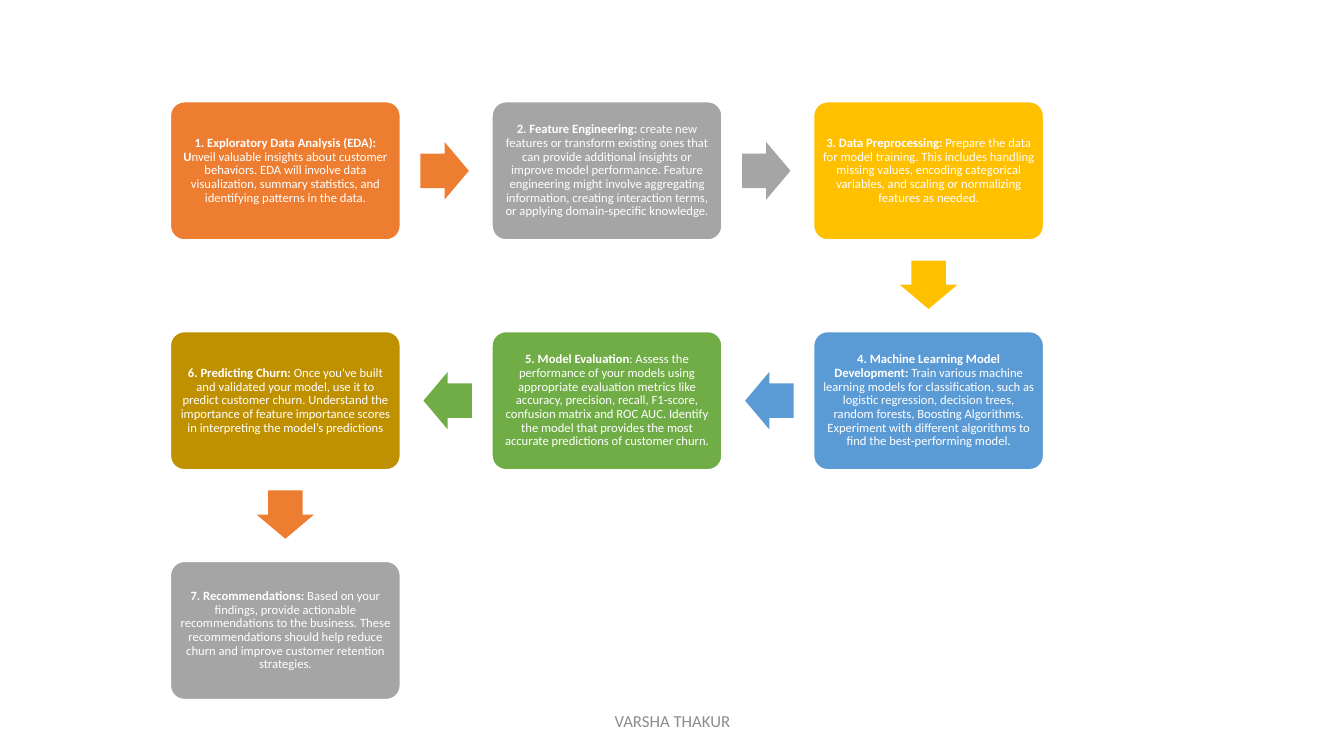
from pptx import Presentation
from pptx.dml.color import RGBColor
from pptx.enum.shapes import MSO_SHAPE as Shape
from pptx.enum.text import MSO_ANCHOR as Anchor, PP_ALIGN as Align
from pptx.util import Inches, Pt

COLORS = {
    "orange": "ED7D31", "gray": "A5A5A5", "yellow": "FFC000", "blue": "5B9BD5",
    "green": "70AD47", "gold": "BF9000", "white": "FFFFFF", "footer": "8C8C8C",
}
BOX_WIDTH, BOX_HEIGHT = 2.28, 1.37
ARROW_WIDTH, ARROW_HEIGHT = 0.48, 0.57
LEFT, TOP = 1.69, 1.01
COLUMN_STEP, ROW_STEP = 3.19, 2.28
ARROW_OFFSET_X, ARROW_OFFSET_Y = 1.58, 1.13
ROTATIONS = {(1, 0): 0, (0, 1): 90, (-1, 0): 180}

STEPS = [
    (0, 0, "orange", "orange", "1. Exploratory Data Analysis (EDA): U",
     "nveil valuable insights about customer behaviors. EDA will involve data "
     "visualization, summary statistics, and identifying patterns in the data."),
    (1, 0, "gray", "gray", "2. Feature Engineering: ",
     "create new features or transform existing ones that can provide additional "
     "insights or improve model performance. Feature engineering might involve "
     "aggregating information, creating interaction terms, or applying "
     "domain-specific knowledge."),
    (2, 0, "yellow", "yellow", "3. Data Preprocessing: ",
     "Prepare the data for model training. This includes handling missing values, "
     "encoding categorical variables, and scaling or normalizing features as needed."),
    (2, 1, "blue", "blue", "4. Machine Learning Model Development: ",
     "Train various machine learning models for classification, such as logistic "
     "regression, decision trees, random forests, Boosting Algorithms. Experiment "
     "with different algorithms to find the best-performing model."),
    (1, 1, "green", "green", "5. Model Evaluation",
     ": Assess the performance of your models using appropriate evaluation metrics "
     "like accuracy, precision, recall, F1-score, confusion matrix and ROC AUC. "
     "Identify the model that provides the most accurate predictions of customer churn."),
    (0, 1, "gold", "orange", "6. Predicting Churn: ",
     "Once you've built and validated your model, use it to predict customer churn. "
     "Understand the importance of feature importance scores in interpreting the "
     "model’s predictions"),
    (0, 2, "gray", None, "7. Recommendations: ",
     "Based on your findings, provide actionable recommendations to the business. "
     "These recommendations should help reduce churn and improve customer retention "
     "strategies."),
]


class FlowSlide:
    font_name = "Calibri"

    def __init__(self, slide):
        self.slide = slide

    def color(self, name):
        return RGBColor.from_string(COLORS[name])

    def style_paragraph(self, paragraph, size, color):
        paragraph.alignment = Align.CENTER
        paragraph.font.name = self.font_name
        paragraph.font.size = Pt(size)
        paragraph.font.color.rgb = self.color(color)

    def add_filled_shape(self, kind, center_x, center_y, width, height, color):
        shape = self.slide.shapes.add_shape(
            kind, Inches(center_x - width / 2), Inches(center_y - height / 2),
            Inches(width), Inches(height))
        shape.shadow.inherit = False
        shape.fill.solid()
        shape.fill.fore_color.rgb = self.color(color)
        return shape

    def add_step(self, center_x, center_y, color, heading, description):
        box = self.add_filled_shape(
            Shape.ROUNDED_RECTANGLE, center_x, center_y, BOX_WIDTH, BOX_HEIGHT, color)
        box.adjustments[0] = 0.1
        box.line.color.rgb = self.color("white")
        box.line.width = Pt(1)
        frame = box.text_frame
        frame.word_wrap = True
        frame.vertical_anchor = Anchor.MIDDLE
        frame.margin_left = frame.margin_right = Inches(0.04)
        frame.margin_top = frame.margin_bottom = Inches(0.04)
        paragraph = frame.paragraphs[0]
        self.style_paragraph(paragraph, 9, "white")
        paragraph.line_spacing = 0.9
        paragraph.space_after = Pt(3.15)
        for text, bold in ((heading, True), (description, False)):
            run = paragraph.add_run()
            run.text = text
            run.font.bold = bold

    def add_arrow(self, center_x, center_y, rotation, color):
        arrow = self.add_filled_shape(
            Shape.RIGHT_ARROW, center_x, center_y, ARROW_WIDTH, ARROW_HEIGHT, color)
        arrow.adjustments[0] = 0.6
        arrow.adjustments[1] = 0.5
        arrow.rotation = rotation
        arrow.line.fill.background()

    def add_footer(self, text):
        footer = self.slide.shapes.add_textbox(
            Inches(4.42), Inches(6.95), Inches(4.5), Inches(0.4))
        frame = footer.text_frame
        frame.word_wrap = True
        frame.vertical_anchor = Anchor.MIDDLE
        frame.text = text
        self.style_paragraph(frame.paragraphs[0], 12, "footer")


presentation = Presentation()
presentation.slide_width = Inches(13.33)
presentation.slide_height = Inches(7.5)
flow = FlowSlide(presentation.slides.add_slide(presentation.slide_layouts[6]))

for index, (column, row, color, arrow_color, heading, description) in enumerate(STEPS):
    center_x = LEFT + BOX_WIDTH / 2 + column * COLUMN_STEP
    center_y = TOP + BOX_HEIGHT / 2 + row * ROW_STEP
    flow.add_step(center_x, center_y, color, heading, description)
    if arrow_color:
        next_column, next_row = STEPS[index + 1][:2]
        across, down = next_column - column, next_row - row
        flow.add_arrow(center_x + across * ARROW_OFFSET_X, center_y + down * ARROW_OFFSET_Y,
                       ROTATIONS[across, down], arrow_color)

flow.add_footer("VARSHA THAKUR")
presentation.save("out.pptx")
